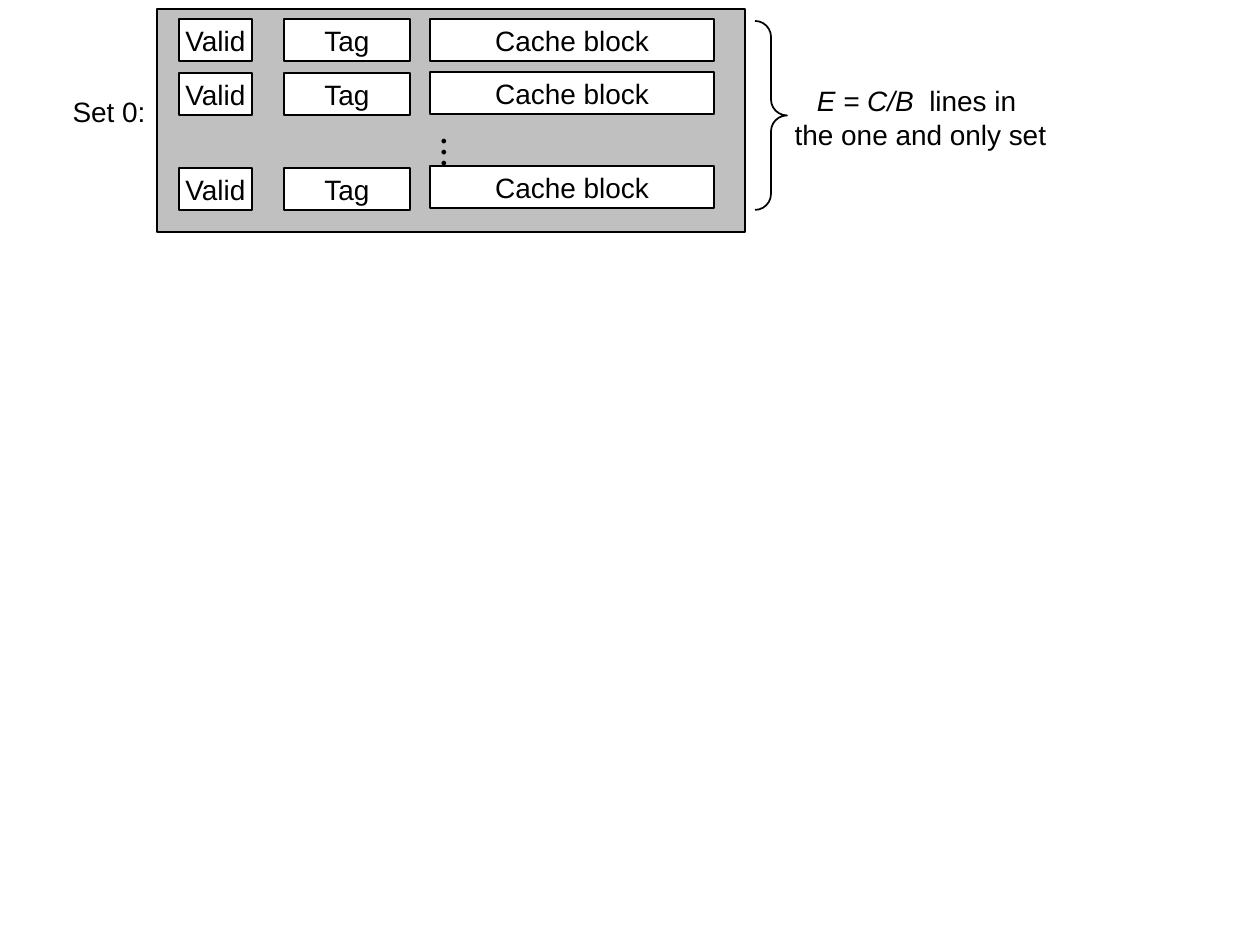
from dataclasses import dataclass

import pptx
import pptx.dml.color
import pptx.enum.shapes
import pptx.enum.text
import pptx.util

SHAPES = pptx.enum.shapes.MSO_SHAPE
PIXELS_PER_INCH = 126


@dataclass(frozen=True)
class Theme:
    font: str = "Arial"
    label_size: int = 16
    dots_size: int = 10
    line_width: int = 1
    ink: str = "000000"
    set_fill: str = "C0C0C0"
    field_fill: str = "FFFFFF"


@dataclass(frozen=True)
class Box:
    left: int
    top: int
    width: int
    height: int


@dataclass(frozen=True)
class Field:
    """One column of the cache lines."""
    label: str
    left: int
    width: int
    tops: tuple[int, ...]


@dataclass(frozen=True)
class Piece:
    text: str
    italic: bool = False


THEME = Theme()
FIELD_HEIGHT = 42
VALID = Field("Valid", 179, 73, (19, 73, 168))
TAG = Field("Tag", 284, 126, (19, 73, 168))
BLOCK = Field("Cache block", 430, 284, (19, 72, 166))


def px(length: int) -> int:
    return round(length * pptx.util.Inches(1) / PIXELS_PER_INCH)


def place(box: Box) -> tuple[int, ...]:
    return px(box.left), px(box.top), px(box.width), px(box.height)


def color(value: str) -> pptx.dml.color.RGBColor:
    return pptx.dml.color.RGBColor.from_string(value)


def write(shape, lines: list[list[Piece]], size: int = THEME.label_size) -> None:
    """Fill a shape with centred, unwrapped lines of text."""
    frame = shape.text_frame
    frame.word_wrap = False
    frame.vertical_anchor = pptx.enum.text.MSO_ANCHOR.MIDDLE
    for index, pieces in enumerate(lines):
        paragraph = frame.add_paragraph() if index else frame.paragraphs[0]
        paragraph.alignment = pptx.enum.text.PP_ALIGN.CENTER
        paragraph.font.name = THEME.font
        paragraph.font.size = pptx.util.Pt(size)
        paragraph.font.color.rgb = color(THEME.ink)
        for piece in pieces:
            run = paragraph.add_run()
            run.text = piece.text
            if piece.italic:
                run.font.italic = True


def add_outline(slide, kind, box: Box, fill: str | None = None):
    shape = slide.shapes.add_shape(kind, *place(box))
    shape.shadow.inherit = False
    if fill:
        shape.fill.solid()
        shape.fill.fore_color.rgb = color(fill)
    else:
        shape.fill.background()
    shape.line.color.rgb = color(THEME.ink)
    shape.line.width = pptx.util.Pt(THEME.line_width)
    return shape


def add_field(slide, field: Field) -> None:
    for top in field.tops:
        box = Box(field.left, top, field.width, FIELD_HEIGHT)
        shape = add_outline(slide, SHAPES.RECTANGLE, box, THEME.field_fill)
        write(shape, [[Piece(field.label)]])


def add_label(slide, box: Box, lines: list[list[Piece]]) -> None:
    label = slide.shapes.add_textbox(*place(box))
    write(label, lines)
    label.text_frame.auto_size = pptx.enum.text.MSO_AUTO_SIZE.SHAPE_TO_FIT_TEXT


def add_vertical_dots(slide, box: Box) -> None:
    dots = slide.shapes.add_textbox(*place(box))
    write(dots, [[Piece("• • •")]], THEME.dots_size)
    dots.text_frame._txBody.bodyPr.set("vert", "eaVert")


def main() -> None:
    presentation = pptx.Presentation()
    presentation.slide_width = pptx.util.Inches(10)
    presentation.slide_height = pptx.util.Inches(7.5)
    slide = presentation.slides.add_slide(presentation.slide_layouts[6])

    # The cache set and its lines; the dots lie behind the cache blocks
    add_outline(slide, SHAPES.RECTANGLE, Box(157, 9, 588, 223), THEME.set_fill)
    add_field(slide, VALID)
    add_field(slide, TAG)
    add_vertical_dots(slide, Box(398, 126, 94, 42))
    add_field(slide, BLOCK)

    # Set label on the left
    add_label(slide, Box(60, 88, 98, 47), [[Piece("Set 0:")]])

    # Brace and line count on the right
    brace = add_outline(slide, SHAPES.RIGHT_BRACE, Box(755, 21, 32, 189))
    brace.adjustments[0] = 0.5
    add_label(slide, Box(782, 77, 277, 81), [
        [Piece("E = C/B", italic=True), Piece("  lines in ")],
        [Piece("the one and only set")],
    ])

    presentation.save("out.pptx")


if __name__ == "__main__":
    main()
